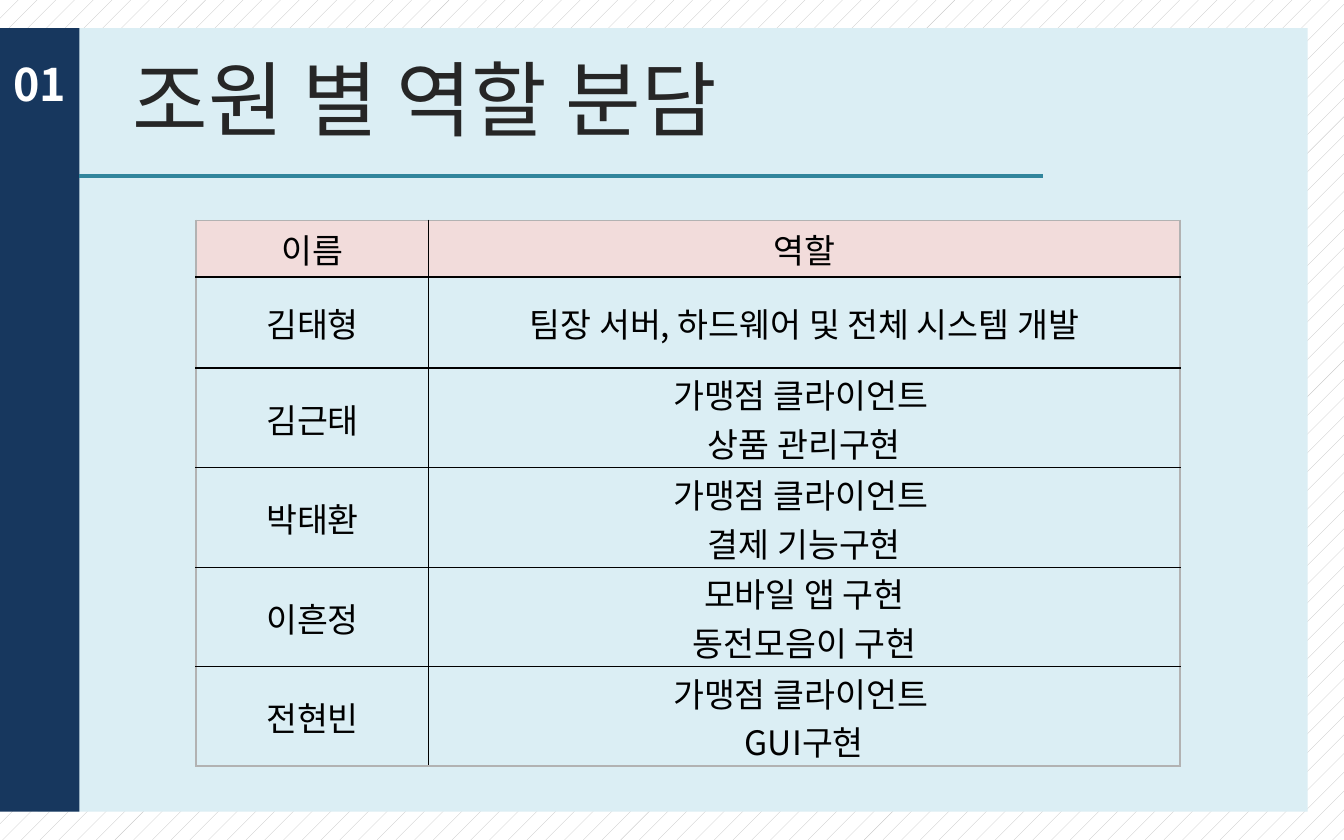
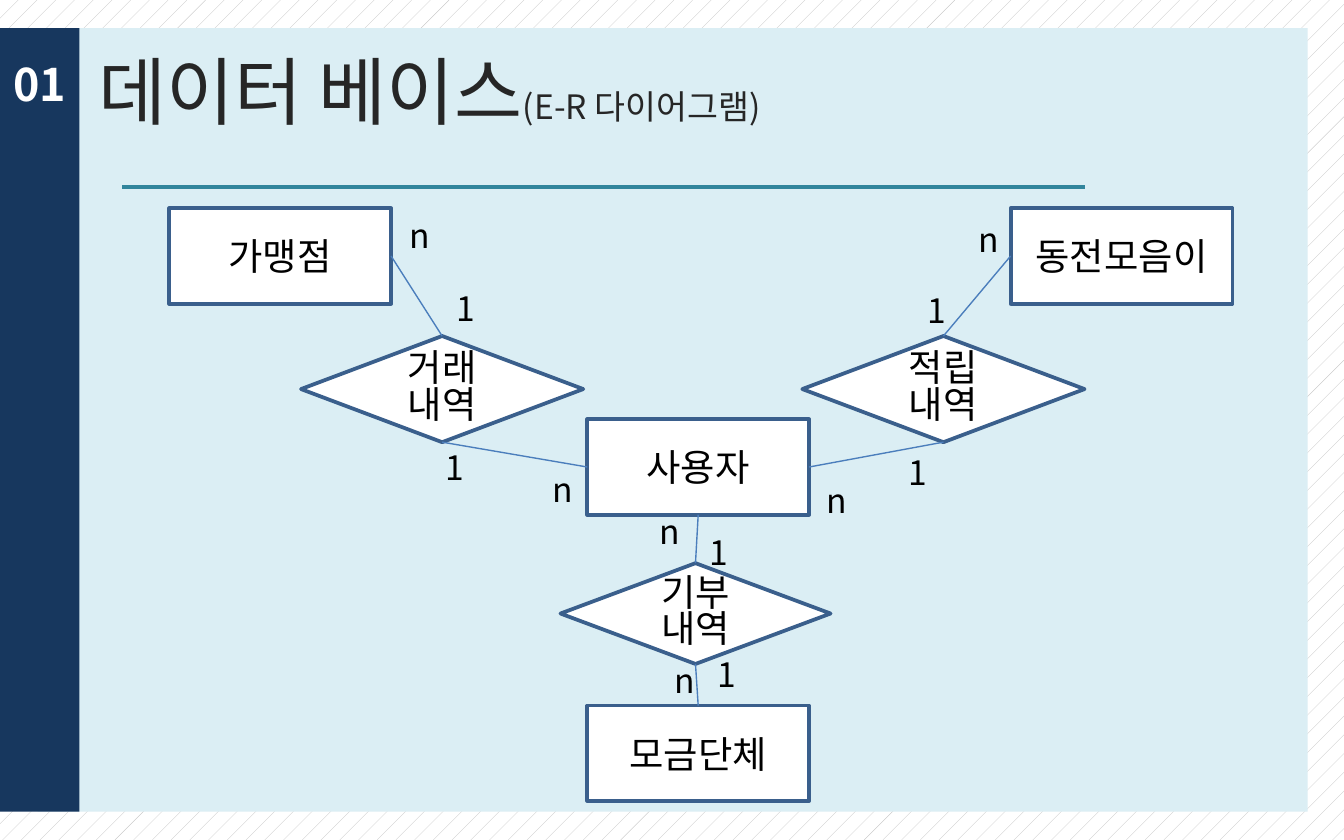
from dataclasses import dataclass

from lxml import etree
from pptx import Presentation
from pptx import util as u
from pptx.dml.color import RGBColor
from pptx.enum import dml, shapes, text
from pptx.oxml import ns

WIDTH, HEIGHT = u.Inches(10), u.Inches(6.25)
FONT = "Noto Sans CJK KR"
HEX = {
    "white": "FFFFFF", "black": "000000", "dots": "BFBFBF", "panel": "DBEEF4",
    "band": "17375E", "rule": "31859C", "title": "262626", "head": "F2DCDB",
    "frame": "B2B2B2", "edge": "3A5F8C", "link": "4B7EBC",
}
RECT = shapes.MSO_SHAPE.RECTANGLE
GEM = shapes.MSO_SHAPE.FLOWCHART_DECISION
TOP, LEFT, BOTTOM, RIGHT = range(4)


@dataclass(frozen=True)
class Area:
    """Place and size in percent of the slide."""
    x: float
    y: float
    w: float
    h: float

    def emu(self) -> tuple:
        return across(self.x), down(self.y), across(self.w), down(self.h)


@dataclass(frozen=True)
class Node:
    name: str
    kind: int
    area: Area


@dataclass(frozen=True)
class Link:
    start: str
    exit: int
    end: str
    entry: int


@dataclass(frozen=True)
class Mark:
    label: str
    x: float
    y: float


@dataclass(frozen=True)
class Head:
    runs: tuple
    area: Area
    rule: tuple
    pitch: float = 1.0


PANEL = Area(2.8, 3.36, 94.5, 93.28)
BAND = Area(0, 3.36, 5.9, 93.28)
NUMBER = Area(0, 5.92, 6.7, 8)

TEAM = Head((("조원 별 역할 분담 ", 44),), Area(0.4, 3.36, 63.8, 16.64), (5.9, 77.6, 20.96))
DATA = Head((("데이터 베이스", 39.6), ("(E-R 다이어그램)", 18)),
            Area(5.9, 3.36, 52.1, 16.64), (9.1, 80.7, 22.24), 0.8)

GRID = Area(14.6, 26.24, 73.2, 65.28)
COLS = (17.3, 55.9)
ROWS = (6.72, 10.88) + (11.84,) * 4
ROLES = (
    ("이름", "역할"),
    ("김태형", "팀장 서버, 하드웨어 및 전체 시스템 개발"),
    ("김근태", "가맹점 클라이언트 \n상품 관리구현"),
    ("박태환", "가맹점 클라이언트 \n결제 기능구현"),
    ("이흔정", "모바일 앱 구현\n동전모음이 구현"),
    ("전현빈", "가맹점 클라이언트 \nGUI구현"),
)


def entity(name: str, x: float, y: float) -> Node:
    return Node(name, RECT, Area(x, y, 16.5, 11.36))


NODES = (
    entity("사용자", 43.7, 49.92),
    Node("적립\n내역", GEM, Area(59.7, 40, 21, 12.64)),
    Node("거래\n내역", GEM, Area(22.4, 40, 21, 12.64)),
    Node("기부\n내역", GEM, Area(41.7, 67.04, 20.1, 12)),
    entity("모금단체", 43.7, 84),
    entity("동전모음이", 75.2, 24.8),
    entity("가맹점", 12.6, 24.8),
)
LINKS = (
    Link("거래\n내역", TOP, "가맹점", RIGHT),
    Link("적립\n내역", TOP, "동전모음이", LEFT),
    Link("기부\n내역", TOP, "사용자", BOTTOM),
    Link("사용자", LEFT, "거래\n내역", BOTTOM),
    Link("사용자", RIGHT, "적립\n내역", BOTTOM),
    Link("기부\n내역", BOTTOM, "모금단체", TOP),
)
MARKS = (
    Mark("n", 29.5, 24.8), Mark("1", 33, 33.44), Mark("1", 32.2, 52.48),
    Mark("n", 40.1, 55.04), Mark("n", 48.1, 60), Mark("1", 51.8, 62.56),
    Mark("1", 52.4, 77.12), Mark("n", 49.2, 77.76), Mark("n", 60.5, 56.32),
    Mark("1", 66.6, 52.96), Mark("1", 68, 33.76), Mark("n", 71.8, 25.28),
)


def across(share: float) -> int:
    return round(WIDTH * share / 100)


def down(share: float) -> int:
    return round(HEIGHT * share / 100)


def tint(name: str) -> RGBColor:
    return RGBColor.from_string(HEX[name])


def style(para, size: float, color: str, bold: bool = False, align=None, pitch: float = 1.0) -> None:
    para.alignment = align
    if pitch != 1:
        para.line_spacing = pitch
    font = para.font
    font.size, font.bold, font.name = u.Pt(size), bold, FONT
    font.color.rgb = tint(color)
    base = para._p.pPr.find(ns.qn("a:defRPr"))
    etree.SubElement(base, ns.qn("a:ea")).set("typeface", FONT)


def write(frame, words: str, size: float, color: str, **look) -> None:
    frame.text = words
    for para in frame.paragraphs:
        style(para, size, color, **look)


def block(slide, kind: int, area: Area, fill: str, edge: str = ""):
    shape = slide.shapes.add_shape(kind, *area.emu())
    shape.shadow.inherit = False
    shape.fill.solid()
    shape.fill.fore_color.rgb = tint(fill)
    if edge:
        shape.line.color.rgb = tint(edge)
        shape.line.width = u.Pt(2)
    else:
        shape.line.fill.background()
    return shape


def wire(slide, color: str, width: float, ends: tuple = (0, 0, 0, 0)):
    line = slide.shapes.add_connector(shapes.MSO_CONNECTOR.STRAIGHT, *ends)
    line.line.color.rgb = tint(color)
    line.line.width = u.Pt(width)
    etree.SubElement(line._element.spPr, ns.qn("a:effectLst"))
    return line


def label(slide, words: str, area: Area, size: float, color: str, bold: bool = False) -> None:
    box = slide.shapes.add_textbox(*area.emu())
    write(box.text_frame, words, size, color, bold=bold)


def start(deck, head: Head):
    slide = deck.slides.add_slide(deck.slide_layouts[5])
    back = slide.background.fill
    back.patterned()
    back.pattern = dml.MSO_PATTERN.PERCENT_5
    back.fore_color.rgb, back.back_color.rgb = tint("dots"), tint("white")

    panel = block(slide, RECT, PANEL, "panel")
    slide.shapes._spTree.insert(2, panel._element)

    title = slide.shapes.title
    title.left, title.top, title.width, title.height = head.area.emu()
    frame = title.text_frame
    frame.auto_size = text.MSO_AUTO_SIZE.NONE
    frame.word_wrap = True
    frame.vertical_anchor = text.MSO_ANCHOR.MIDDLE
    para = frame.paragraphs[0]
    style(para, head.runs[0][1], "title", align=text.PP_ALIGN.CENTER, pitch=head.pitch)
    for words, size in head.runs:
        run = para.add_run()
        run.text, run.font.size = words, u.Pt(size)

    block(slide, RECT, BAND, "band")
    left, right, y = head.rule
    wire(slide, "rule", 2.25, (across(left), down(y), across(right), down(y)))
    label(slide, "01", NUMBER, 24, "white", True)
    return slide


def border(cell, sides: dict) -> None:
    props = cell._tc.get_or_add_tcPr()
    for spot, (side, (color, width)) in enumerate(sides.items()):
        line = etree.Element(ns.qn(f"a:ln{side}"), w=str(u.Pt(width)))
        fill = etree.SubElement(line, ns.qn("a:solidFill"))
        etree.SubElement(fill, ns.qn("a:srgbClr")).set("val", HEX[color])
        props.insert(spot, line)


def roster(slide) -> None:
    table = slide.shapes.add_table(len(ROWS), len(COLS), *GRID.emu()).table
    table.first_row = table.horz_banding = False
    for col, share in zip(table.columns, COLS):
        col.width = across(share)
    for row, share in zip(table.rows, ROWS):
        row.height = down(share)
    outer, thin = ("frame", 1), ("black", 0.5)
    across_lines = [outer] + [("black", 1)] * 2 + [thin] * 3 + [outer]
    down_lines = [outer, thin, outer]
    for r, words in enumerate(ROLES):
        for c, word in enumerate(words):
            cell = table.cell(r, c)
            cell.vertical_anchor = text.MSO_ANCHOR.MIDDLE
            cell.margin_top, cell.margin_bottom = u.Inches(0.01), 0
            write(cell.text_frame, word, 18, "black", align=text.PP_ALIGN.CENTER)
            if r:
                cell.fill.background()
            else:
                cell.fill.solid()
                cell.fill.fore_color.rgb = tint("head")
            border(cell, {"L": down_lines[c], "R": down_lines[c + 1],
                          "T": across_lines[r], "B": across_lines[r + 1]})


def diagram(slide) -> None:
    drawn = {}
    for node in NODES:
        shape = block(slide, node.kind, node.area, "white", "edge")
        shape.text_frame.vertical_anchor = text.MSO_ANCHOR.MIDDLE
        write(shape.text_frame, node.name, 20, "black", align=text.PP_ALIGN.CENTER,
              pitch=0.82 if node.kind == GEM else 1.0)
        drawn[node.name] = shape
    for link in LINKS:
        line = wire(slide, "link", 0.75)
        line.begin_connect(drawn[link.start], link.exit)
        line.end_connect(drawn[link.end], link.entry)
    for mark in MARKS:
        label(slide, mark.label, Area(mark.x, mark.y, 3.6, 6.4), 18, "black")


def main() -> None:
    deck = Presentation()
    deck.slide_width, deck.slide_height = WIDTH, HEIGHT
    roster(start(deck, TEAM))
    diagram(start(deck, DATA))
    deck.save("out.pptx")


if __name__ == "__main__":
    main()
